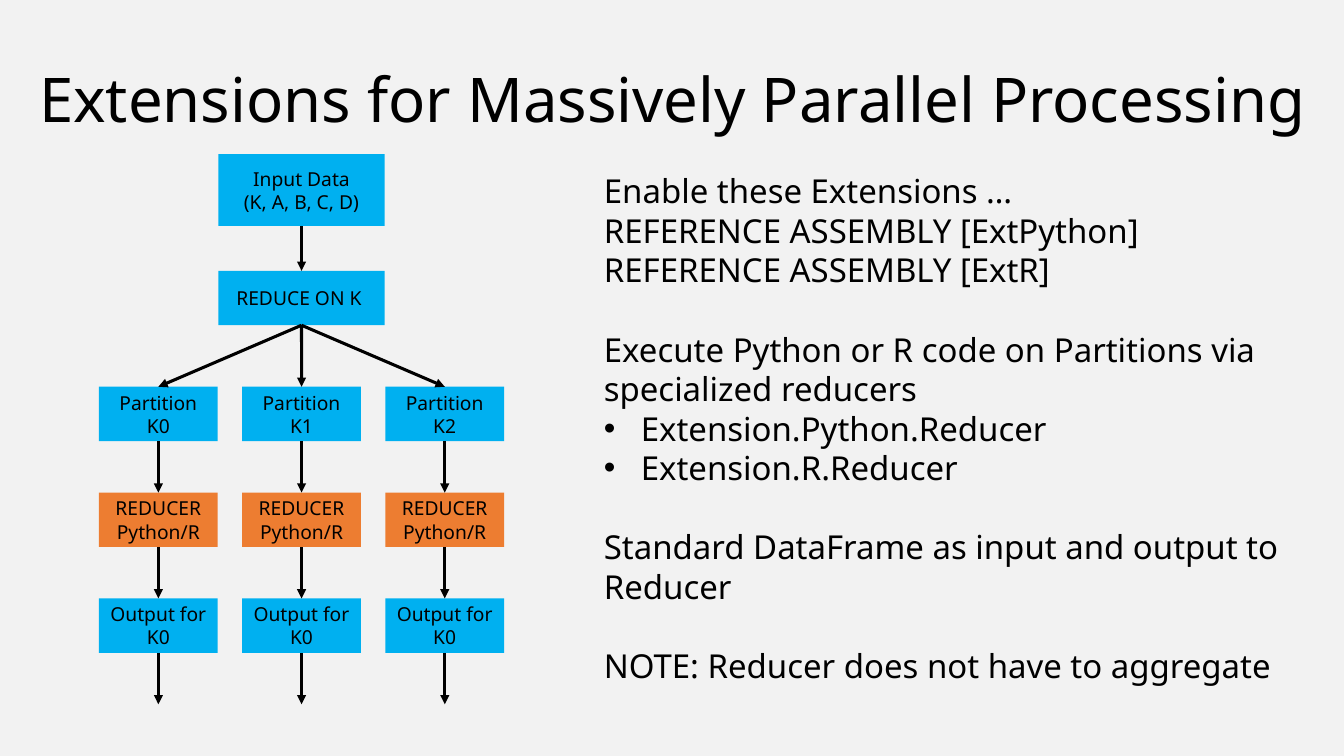
"""Builds the slide on extensions for massively parallel processing."""
from lxml import etree
from pptx import Presentation
from pptx.dml.color import RGBColor
from pptx.enum.shapes import MSO_CONNECTOR, MSO_SHAPE
from pptx.enum.text import MSO_ANCHOR, MSO_AUTO_SIZE, PP_ALIGN
from pptx.oxml.ns import qn
from pptx.util import Cm, Pt

COLORS = {"background": "F2F2F2", "data": "00B0F0", "reducer": "ED7D31", "ink": "000000"}
FONT = "Noto Sans"
TOP, BOTTOM = 0, 2
CENTER_X, COLUMN_PITCH = 7.75, 3.68
ROW_TOP, ROW_PITCH = 9.94, 2.72
BOX_HEIGHT = 1.4

NOTES = [
    ["Enable these Extensions …", "REFERENCE ASSEMBLY [ExtPython]", "REFERENCE ASSEMBLY [ExtR]"],
    ["Execute Python or R code on Partitions via specialized reducers",
     "• Extension.Python.Reducer", "• Extension.R.Reducer"],
    ["Standard DataFrame as input and output to Reducer"],
    ["NOTE: Reducer does not have to aggregate"],
]


def color(name):
    return RGBColor.from_string(COLORS[name])


def style(paragraph, size, align):
    paragraph.alignment = align
    paragraph.font.name = FONT
    paragraph.font.size = Pt(size)
    paragraph.font.color.rgb = color("ink")


def add_title(slide, text):
    title = slide.shapes.title
    title.left, title.top, title.width, title.height = Cm(0.53), Cm(0.53), Cm(33.48), Cm(4.22)
    frame = title.text_frame
    frame.text = text
    frame.word_wrap = True
    frame.auto_size = MSO_AUTO_SIZE.NONE
    frame.vertical_anchor = MSO_ANCHOR.MIDDLE
    style(frame.paragraphs[0], 44.9, PP_ALIGN.CENTER)
    frame.paragraphs[0].line_spacing = 0.9


def add_box(slide, center_x, top, width, height, text, fill="data"):
    box = slide.shapes.add_shape(MSO_SHAPE.RECTANGLE, Cm(center_x - width / 2), Cm(top),
                                 Cm(width), Cm(height))
    box.shadow.inherit = False
    box.fill.solid()
    box.fill.fore_color.rgb = color(fill)
    box.line.fill.background()
    frame = box.text_frame
    frame.text = text
    frame.word_wrap = True
    frame.margin_top = frame.margin_bottom = 0
    frame.vertical_anchor = MSO_ANCHOR.MIDDLE
    for paragraph in frame.paragraphs:
        style(paragraph, 14, PP_ALIGN.CENTER)
    return box


def add_arrow(slide, source, target=None, end_y=0):
    x = source.left + source.width // 2
    arrow = slide.shapes.add_connector(MSO_CONNECTOR.STRAIGHT, x, source.top + source.height,
                                       x, Cm(end_y))
    arrow.begin_connect(source, BOTTOM)
    if target is not None:
        arrow.end_connect(target, TOP)
    arrow.line.color.rgb = color("ink")
    arrow.line.width = Pt(2.25)
    etree.SubElement(arrow.line._get_or_add_ln(), qn("a:tailEnd"), type="triangle")
    etree.SubElement(arrow._element.spPr, qn("a:effectLst"))


def add_bullet(paragraph):
    properties = paragraph._p.get_or_add_pPr()
    properties.set("marL", str(Cm(0.95)))
    properties.set("indent", str(-Cm(0.95)))
    etree.SubElement(properties, qn("a:buFont"), typeface="Arial")
    etree.SubElement(properties, qn("a:buChar"), char="•")


def add_notes(slide, groups):
    frame = slide.shapes.add_textbox(Cm(15.27), Cm(4.27), Cm(18.01), Cm(13.82)).text_frame
    frame.word_wrap = True
    lines = [(line, index > 0 and line is group[0])
             for index, group in enumerate(groups) for line in group]
    frame.text = "\n".join(line.removeprefix("• ") for line, _ in lines)
    for paragraph, (line, opens_group) in zip(frame.paragraphs, lines):
        style(paragraph, 24, PP_ALIGN.LEFT)
        if opens_group:
            paragraph.space_before = Pt(28.8)
        if line.startswith("•"):
            add_bullet(paragraph)


def add_branch(slide, root, column):
    steps = [(f"Partition\nK{column}", "data"), ("REDUCER\nPython/R", "reducer"),
             ("Output for\nK0", "data")]
    previous = root
    for row, (text, fill) in enumerate(steps):
        box = add_box(slide, CENTER_X + (column - 1) * COLUMN_PITCH, ROW_TOP + row * ROW_PITCH,
                      3.05, BOX_HEIGHT, text, fill)
        add_arrow(slide, previous, box)
        previous = box
    add_arrow(slide, previous, end_y=ROW_TOP + len(steps) * ROW_PITCH)


def main():
    presentation = Presentation()
    presentation.slide_width, presentation.slide_height = Cm(34.54), Cm(19.43)
    slide = presentation.slides.add_slide(presentation.slide_layouts[5])
    slide.background.fill.solid()
    slide.background.fill.fore_color.rgb = color("background")

    add_title(slide, "Extensions for Massively Parallel Processing")
    source = add_box(slide, CENTER_X, 3.96, 4.27, 1.85, "Input Data\n(K, A, B, C, D)")
    reduce_step = add_box(slide, CENTER_X, 6.96, 4.27, BOX_HEIGHT, "REDUCE ON K ")
    add_arrow(slide, source, reduce_step)
    for column in range(3):
        add_branch(slide, reduce_step, column)
    add_notes(slide, NOTES)
    presentation.save("out.pptx")


main()
